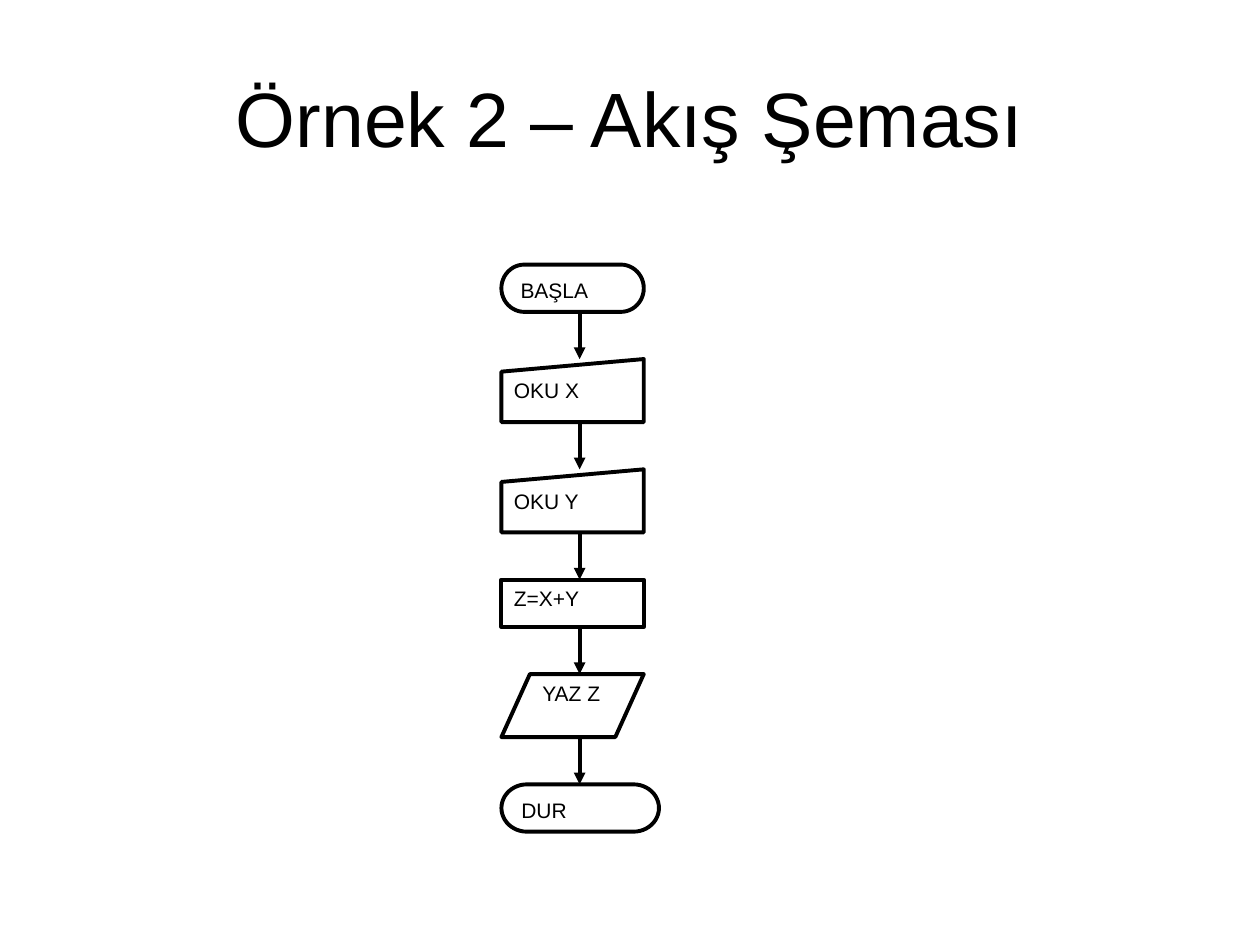
"""Build a slide with a flowchart that reads two numbers and writes their sum."""

from dataclasses import dataclass

import pptx
import pptx.dml.color
import pptx.enum.shapes
import pptx.enum.text
import pptx.oxml
import pptx.oxml.ns
import pptx.util
from pptx.util import Inches

COLORS = {"ink": "000000", "paper": "FFFFFF"}
FONT = "Arial"
LINE_WIDTH = pptx.util.Pt(2.25)
LEFT = 3.98
TOP = 2.1
GAP = 3 / 8
ARROW_X = 4.6
SHAPES = pptx.enum.shapes.MSO_SHAPE
ANCHORS = pptx.enum.text.MSO_ANCHOR
ALIGNMENTS = pptx.enum.text.PP_ALIGN


@dataclass(frozen=True)
class Step:
    text: str
    kind: SHAPES
    height: float
    width: float = 1.13


STEPS = [
    Step("BAŞLA", SHAPES.FLOWCHART_TERMINATOR, 3 / 8),
    Step("OKU X", SHAPES.FLOWCHART_MANUAL_INPUT, 0.5),
    Step("OKU Y", SHAPES.FLOWCHART_MANUAL_INPUT, 0.5),
    Step("Z=X+Y", SHAPES.FLOWCHART_PROCESS, 3 / 8),
    Step("YAZ Z", SHAPES.FLOWCHART_DATA, 0.5),
    Step("DUR", SHAPES.FLOWCHART_TERMINATOR, 3 / 8, 1.25),
]


def color(name: str) -> pptx.dml.color.RGBColor:
    return pptx.dml.color.RGBColor.from_string(COLORS[name])


def write_text(shape, text: str, size: float, anchor: ANCHORS, alignment: ALIGNMENTS) -> None:
    text_frame = shape.text_frame
    text_frame.word_wrap = True
    text_frame.vertical_anchor = anchor
    text_frame.text = text
    paragraph = text_frame.paragraphs[0]
    paragraph.alignment = alignment
    font = paragraph.runs[0].font
    font.name = FONT
    font.size = pptx.util.Pt(size)
    font.color.rgb = color("ink")


def draw_step(slide, step: Step, top: float) -> None:
    shape = slide.shapes.add_shape(
        step.kind, Inches(LEFT), Inches(top), Inches(step.width), Inches(step.height)
    )
    shape.shadow.inherit = False
    shape.fill.solid()
    shape.fill.fore_color.rgb = color("paper")
    shape.line.color.rgb = color("ink")
    shape.line.width = LINE_WIDTH
    write_text(shape, step.text, 12, ANCHORS.TOP, ALIGNMENTS.LEFT)


def draw_arrow(slide, top: float) -> None:
    connector = slide.shapes.add_connector(
        pptx.enum.shapes.MSO_CONNECTOR.STRAIGHT,
        Inches(ARROW_X), Inches(top), Inches(ARROW_X), Inches(top + GAP),
    )
    connector.line.color.rgb = color("ink")
    connector.line.width = LINE_WIDTH
    namespace = pptx.oxml.ns.nsdecls("a")
    properties = connector.element.spPr
    line = properties.find(pptx.oxml.ns.qn("a:ln"))
    line.append(pptx.oxml.parse_xml(f'<a:tailEnd {namespace} type="triangle"/>'))
    properties.append(pptx.oxml.parse_xml(f"<a:effectLst {namespace}/>"))


def main() -> None:
    presentation = pptx.Presentation()
    presentation.slide_width = Inches(10)
    presentation.slide_height = Inches(7.5)
    slide = presentation.slides.add_slide(presentation.slide_layouts[6])

    title = slide.shapes.add_textbox(Inches(0.5), Inches(0.3), Inches(9), Inches(1.25))
    write_text(title, "Örnek 2 – Akış Şeması", 44, ANCHORS.MIDDLE, ALIGNMENTS.CENTER)

    tops = [TOP]
    for step in STEPS[:-1]:
        tops.append(tops[-1] + step.height + GAP)
    for step, top in zip(STEPS, tops):
        draw_step(slide, step, top)
    for next_top in tops[1:]:
        draw_arrow(slide, next_top - GAP)

    presentation.save("out.pptx")


if __name__ == "__main__":
    main()
